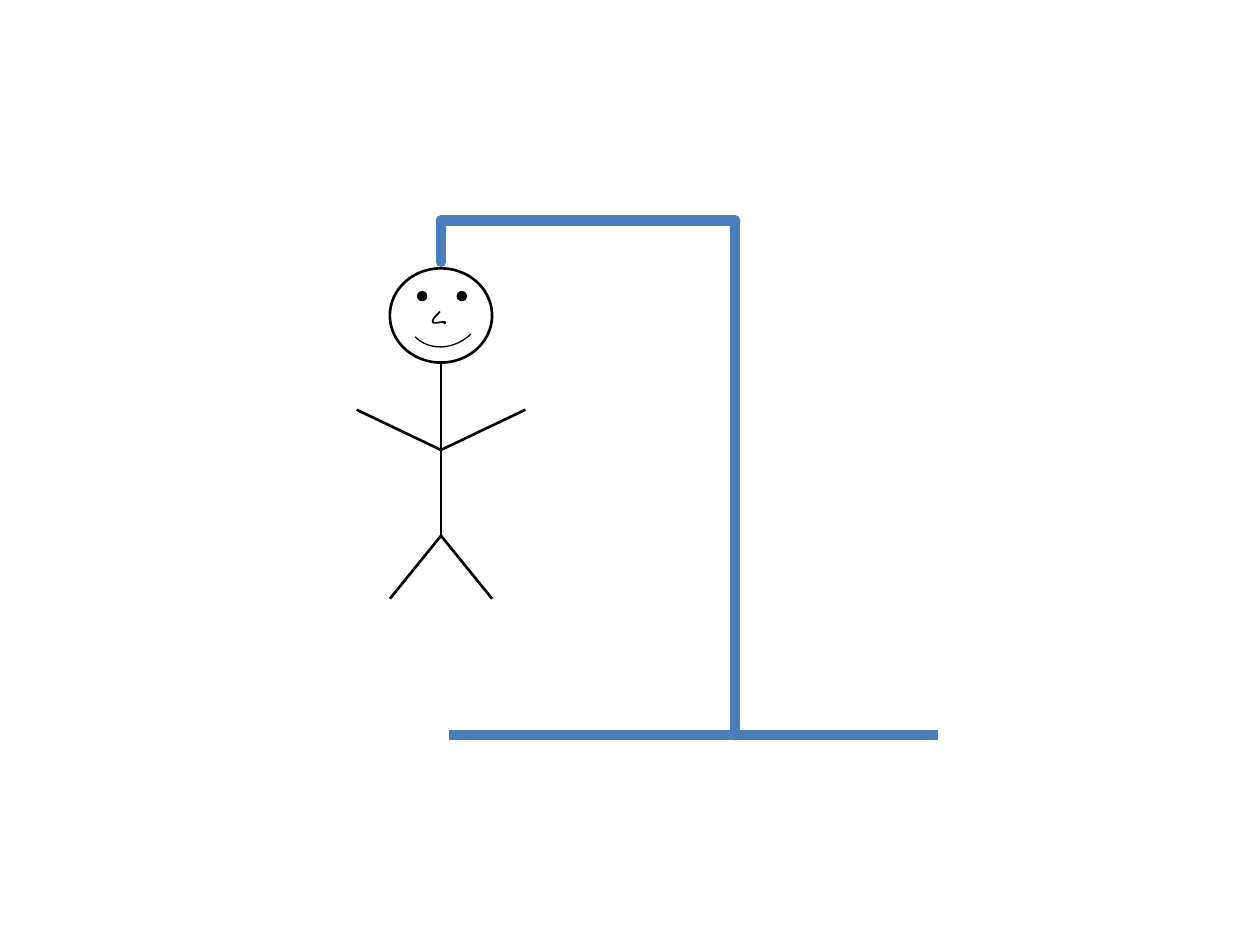
from lxml import etree
from pptx import Presentation
from pptx import util as u
from pptx.dml.color import RGBColor
from pptx.enum import shapes
from pptx.oxml import ns

COLORS = {"gallows": "4B7EBC", "ink": "000000"}


class Sketch:
    def __init__(self, slide):
        self.slide = slide

    def stroke(self, shape, color, width, cap="flat"):
        shape.line.color.rgb = RGBColor.from_string(COLORS[color])
        shape.line.width = u.Pt(width)
        shape.line._get_or_add_ln().set("cap", cap)

    def line(self, start, end, color="ink", width=1.5, cap="flat"):
        points = [u.Cm(value) for value in (*start, *end)]
        connector = self.slide.shapes.add_connector(shapes.MSO_CONNECTOR.STRAIGHT, *points)
        self.stroke(connector, color, width, cap)
        etree.SubElement(connector._element.spPr, ns.qn("a:effectLst"))

    def shape(self, kind, center, size, width=None, filled=False, rotation=0):
        left, top = (middle - length / 2 for middle, length in zip(center, size))
        box = [u.Cm(value) for value in (left, top, *size)]
        shape = self.slide.shapes.add_shape(kind, *box)
        shape.shadow.inherit = False
        shape.rotation = rotation
        if filled:
            shape.fill.solid()
            shape.fill.fore_color.rgb = RGBColor.from_string(COLORS["ink"])
        else:
            shape.fill.background()
        if width:
            self.stroke(shape, "ink", width)
        else:
            shape.line.fill.background()

    def curve(self, start, segments, width, steps=8):
        points = [start]
        for first, second, end in segments:
            origin = points[-1]
            for step in range(1, steps + 1):
                t = step / steps
                weights = ((1 - t) ** 3, 3 * t * (1 - t) ** 2, 3 * t * t * (1 - t), t ** 3)
                points.append(tuple(
                    sum(weight * value for weight, value in zip(weights, values))
                    for values in zip(origin, first, second, end)))
        points = [(u.Cm(x), u.Cm(y)) for x, y in points]
        builder = self.slide.shapes.build_freeform(*points[0], scale=1.0)
        builder.add_line_segments(points[1:], close=False)
        shape = builder.convert_to_shape()
        shape.shadow.inherit = False
        shape.fill.background()
        self.stroke(shape, "ink", width)


presentation = Presentation()
presentation.slide_width, presentation.slide_height = u.Cm(25.4), u.Cm(19.05)
sketch = Sketch(presentation.slides.add_slide(presentation.slide_layouts[6]))

axis, post = 8.89, 14.82
beam, ground = 4.45, 14.82
neck, shoulder, hip = 7.31, 9.07, 10.8

for start, end in (
    ((axis, 5.28), (axis, beam)),
    ((axis, beam), (post, beam)),
    ((post, ground), (post, beam)),
):
    sketch.line(start, end, "gallows", 6, "rnd")
sketch.line((9.05, ground), (18.9, ground), "gallows", 6)

OVAL = shapes.MSO_SHAPE.OVAL
sketch.shape(OVAL, (axis, 6.36), (2.06, 1.9), 1.5)
sketch.line((axis, neck), (axis, hip))
for joint, reach, end in ((hip, 1.03, 12.07), (shoulder, 1.7, 8.26)):
    for side in (-1, 1):
        sketch.line((axis, joint), (axis + side * reach, end))

for eye in (8.51, 9.31):
    sketch.shape(OVAL, (eye, 5.97), (0.21, 0.21), filled=True)
sketch.shape(shapes.MSO_SHAPE.ARC, (8.98, 6.2), (1.7, 1.48), 0.75, rotation=136.1)
sketch.curve((8.87, 6.28), (
    ((8.79, 6.37), (8.7, 6.45), (8.73, 6.5)),
    ((8.75, 6.54), (9.07, 6.44), (8.95, 6.53)),
), 1)

presentation.save("out.pptx")
